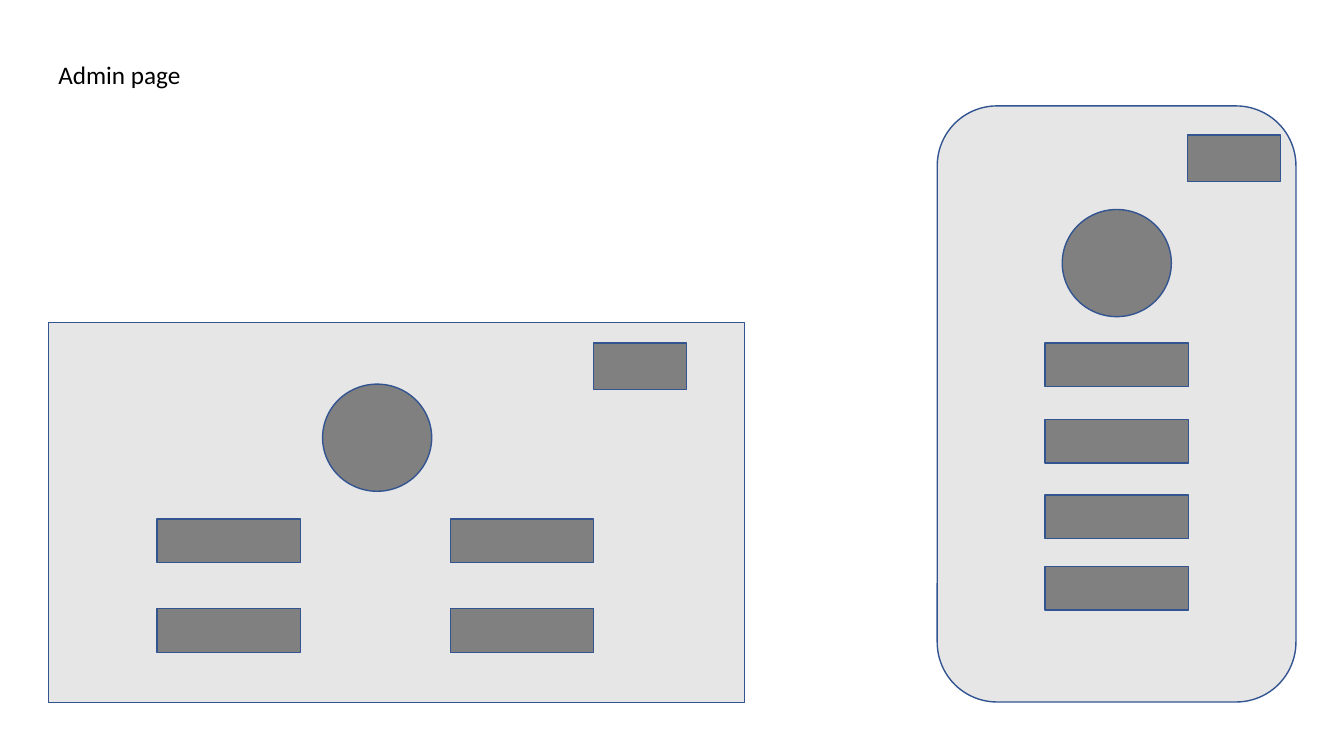
from pptx import Presentation
from pptx import util as u
from pptx.dml.color import RGBColor
from pptx.enum import shapes, text

PANEL = RGBColor(0xE7, 0xE6, 0xE6)
BLOCK = RGBColor(0x80, 0x80, 0x80)
OUTLINE = RGBColor(0x32, 0x54, 0x91)
BLACK = RGBColor(0, 0, 0)
RECT = shapes.MSO_SHAPE.RECTANGLE
ROUND = shapes.MSO_SHAPE.ROUNDED_RECTANGLE
OVAL = shapes.MSO_SHAPE.OVAL


class Wireframe:
    """Places styled elements on one slide; lengths in centimetres."""

    font = "Calibri"

    def __init__(self, s):
        self.s = s

    def shape(self, kind, x, y, w, h, fill=BLOCK):
        sp = self.s.shapes.add_shape(kind, u.Cm(x), u.Cm(y), u.Cm(w), u.Cm(h))
        sp.shadow.inherit = False
        sp.fill.solid()
        sp.fill.fore_color.rgb = fill
        sp.line.color.rgb = OUTLINE
        sp.line.width = u.Pt(1)

    def label(self, words, x, y, w, h, size=18):
        sp = self.s.shapes.add_textbox(u.Cm(x), u.Cm(y), u.Cm(w), u.Cm(h))
        tf = sp.text_frame
        tf.word_wrap = True
        tf.auto_size = text.MSO_AUTO_SIZE.SHAPE_TO_FIT_TEXT
        tf.text = words
        r = tf.paragraphs[0].runs[0]
        r.font.name = self.font
        r.font.size = u.Pt(size)
        r.font.color.rgb = BLACK

    def avatar(self, x, y):
        self.shape(OVAL, x, y, 2.75, 2.7)

    def button(self, x, y):
        self.shape(RECT, x, y, 3.61, 1.1)

    def corner_button(self, x, y):
        self.shape(RECT, x, y, 2.35, 1.17)


prs = Presentation()
prs.slide_width, prs.slide_height = u.Cm(33.87), u.Cm(19.05)
page = Wireframe(prs.slides.add_slide(prs.slide_layouts[6]))

# Screen outlines and title
page.shape(RECT, 1.22, 8.13, 17.55, 9.58, PANEL)
page.shape(ROUND, 23.62, 2.67, 9.04, 15.02, PANEL)
page.label("Admin page", 1.22, 1.37, 14.25, 1.02)

# Avatars
page.avatar(8.13, 9.68)
page.avatar(26.77, 5.28)

# Desktop buttons: two by two
for y in (13.08, 15.34):
    for x in (3.96, 11.35):
        page.button(x, y)

# Phone buttons: one column
for y in (8.64, 10.57, 12.47, 14.27):
    page.button(26.34, y)

# Top right buttons
page.corner_button(14.96, 8.64)
page.corner_button(29.92, 3.4)

prs.save("out.pptx")
